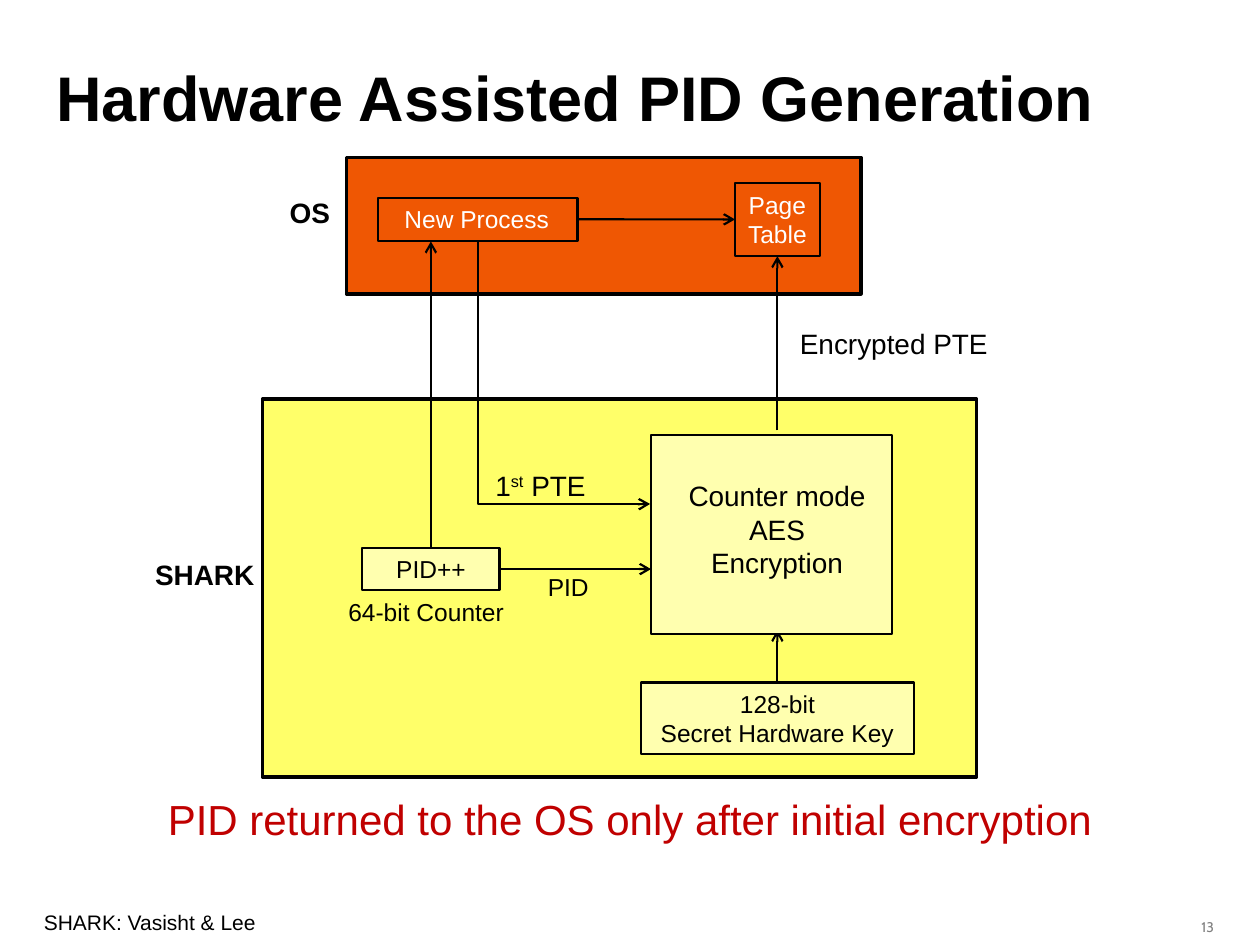
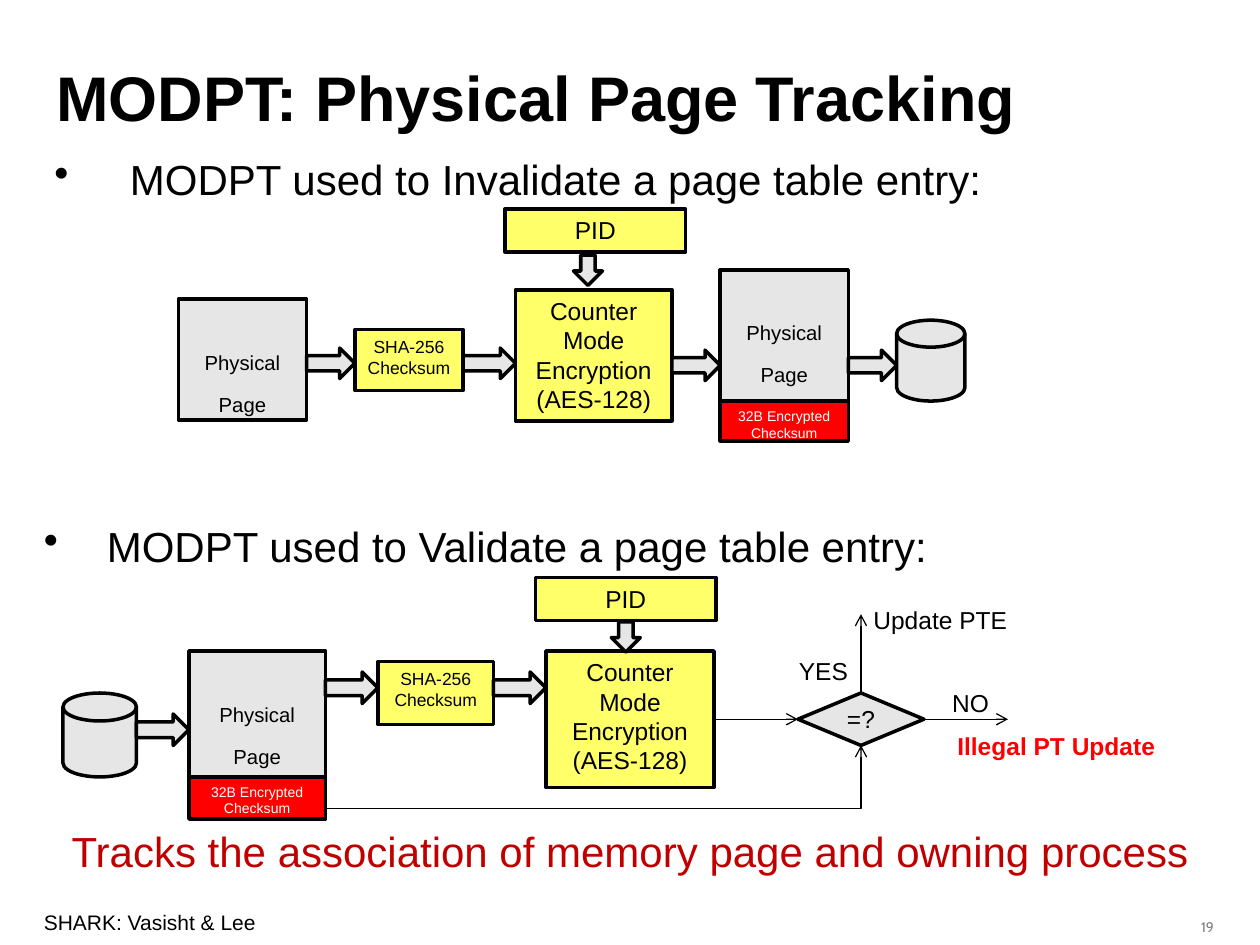
from lxml import etree
from pptx import Presentation
from pptx import util as u
from pptx.dml.color import RGBColor
from pptx.enum import shapes, text
from pptx.oxml import ns

BLACK = RGBColor(0x00, 0x00, 0x00)
WHITE = RGBColor(0xFF, 0xFF, 0xFF)
GRAY = RGBColor(0x80, 0x80, 0x80)
SILVER = RGBColor(0xE6, 0xE6, 0xE6)
ORANGE = RGBColor(0xEF, 0x57, 0x03)
YELLOW = RGBColor(0xFF, 0xFF, 0x69)
CREAM = RGBColor(0xFF, 0xFF, 0xAF)
RED = RGBColor(0xFF, 0x00, 0x00)
DARK_RED = RGBColor(0xC0, 0x00, 0x00)

WIDTH, HEIGHT = u.Inches(10), u.Inches(7.5)
COLUMNS, ROWS = 120, 90
LEFT, CENTER, RIGHT = text.PP_ALIGN.LEFT, text.PP_ALIGN.CENTER, text.PP_ALIGN.RIGHT
TOP, MIDDLE = text.MSO_ANCHOR.TOP, text.MSO_ANCHOR.MIDDLE
SHAPE = shapes.MSO_SHAPE
FOOTER = "SHARK: Vasisht & Lee"

PID_PARTS = [
    ("box", "os", (33, 15, 49, 13), dict(fill=ORANGE, weight=2)),
    ("box", "process", (36, 18.84, 19, 4.1),
     dict(lines=["New Process"], size=14, color=WHITE, align=LEFT, anchor=TOP, indent=0.11)),
    ("box", "shark", (25, 38, 68, 36), dict(fill=YELLOW, weight=2)),
    ("label", (46, 44, 15.7, 4.5), dict(lines=[[("1", 0), ("st", 30), (" PTE", 0)]], size=16)),
    ("label", (32, 56.3, 18, 4), dict(lines=["64-bit Counter"], size=14)),
    ("box", "counter", (34.5, 52.2, 13.08, 4), dict(fill=CREAM, lines=["PID++"], size=14)),
    ("arrow", ("counter", 0), (41.04, 23), 1.25),
    ("box", "table", (70, 17.4, 8.08, 7), dict(fill=ORANGE, lines=["Page Table"], size=14, color=WHITE)),
    ("arrow", (74.04, 41), ("table", 2), 1.25),
    ("box", "key", (61.04, 65, 26, 6.84),
     dict(fill=CREAM, lines=["128-bit", "Secret Hardware Key"], size=14, anchor=TOP)),
    ("arrow", ("key", 0), (74.04, 60), 1.25),
    ("bend", (45.5, 22.94), (61.92, 48), 1.25, True),
    ("label", (51, 53.9, 7, 4), dict(lines=["PID"], size=14)),
    ("arrow", ("counter", 3), (62, 54.2), 1.25),
    ("box", "cipher", (62, 41.4, 23, 19), dict(fill=CREAM)),
    ("label", (64, 45, 20, 10.8),
     dict(lines=["Counter mode", "AES", "Encryption"], size=16, align=CENTER)),
    ("arrow", ("process", 3), ("table", 1), 1.25),
    ("label", (75, 30.5, 21, 4.5), dict(lines=["Encrypted PTE"], size=16)),
    ("label", (12, 52.5, 15, 4.5), dict(lines=["SHARK"], size=16, bold=True, align=CENTER)),
    ("label", (22, 18, 15, 4.5), dict(lines=["OS"], size=16, bold=True, align=CENTER)),
]

STAGES = {
    "disk": dict(preset=SHAPE.FLOWCHART_MAGNETIC_DISK, fill=SILVER),
    "page": dict(fill=SILVER, lines=[[("Physical Page", 30)]], size=20, top=0.37),
    "tag": dict(fill=RED, lines=["32B Encrypted Checksum"], size=8, color=WHITE),
    "hash": dict(fill=YELLOW, lines=["SHA-256 Checksum"], size=10),
    "cipher": dict(fill=YELLOW, lines=["Counter Mode", "Encryption", "(AES-128)"], size=14),
    "pid": dict(fill=YELLOW, lines=["PID"], size=14),
}

INVALIDATE = dict(
    places=[
        ("disk", "disk", (85.4, 30.5, 6.5, 7.7)),
        ("page", "source", (17, 28.5, 12.2, 11.5)),
        ("hash", "hash", (33.8, 31.4, 10.3, 5.8)),
        ("cipher", "cipher", (49.1, 27.6, 14.9, 12.5)),
        ("pid", "pid", (48.1, 19.9, 17.2, 4.1)),
        ("page", "target", (68.6, 25.7, 12.2, 12.5)),
        ("tag", "tag", (68.6, 38.2, 12.2, 3.8)),
    ],
    links=[("source", "hash", 34.6), ("hash", "cipher", 34.6),
           ("cipher", "target", 34.8), ("target", "disk", 34.8)],
    link_height=2.9, drop=(56, 25.75),
)
VALIDATE = dict(
    places=[
        ("page", "source", (18, 62, 13, 12)),
        ("tag", "tag", (18, 74, 13, 4)),
        ("disk", "disk", (6, 66, 7, 8)),
        ("hash", "hash", (36, 63, 11, 6)),
        ("cipher", "cipher", (52, 62, 16, 13)),
        ("pid", "pid", (51, 55, 17.2, 4.1)),
    ],
    links=[("disk", "source", 69.5), ("source", "hash", 65.5), ("hash", "cipher", 65.5)],
    link_height=3, drop=(59.6, 60.66),
)
BULLETS = [
    ((4, 14, 113, 6), "MODPT used to Invalidate a page table entry:", 0.6),
    ((3, 49, 115, 6), "MODPT used to Validate a page table entry:", 0.5),
]
CHECK_PARTS = [
    ("label", (90, 69, 24, 4), dict(lines=["Illegal PT Update"], size=14, color=RED, bold=True)),
    ("box", "match", (76, 66, 12, 5),
     dict(preset=SHAPE.FLOWCHART_DECISION, fill=SILVER, weight=2, lines=["=?"], size=14)),
    ("arrow", ("match", 0), (82, 58.5), 0.75),
    ("arrow", ("cipher", 3), ("match", 1), 0.75),
    ("bend", (31, 77), (82, 71), 0.75, False),
    ("label", (89.5, 64.9, 8, 4), dict(lines=["NO"], size=14)),
    ("arrow", ("match", 3), (96, 68.5), 0.75),
    ("label", (82, 57, 17, 4), dict(lines=["Update PTE"], size=14)),
    ("label", (74.9, 61.9, 8, 4), dict(lines=["YES"], size=14)),
]


def across(columns):
    return round(WIDTH * columns / COLUMNS)


def down(rows):
    return round(HEIGHT * rows / ROWS)


def place(area):
    left, top, width, height = area
    return across(left), down(top), across(width), down(height)


def write(shape, lines, size, color=BLACK, align=LEFT, anchor=TOP, bold=False,
          font="Arial", indent=0, top=0.05, bullet=False):
    frame = shape.text_frame
    frame.word_wrap = True
    frame.vertical_anchor = anchor
    frame.margin_left, frame.margin_right = u.Inches(0.1 + (0 if bullet else indent)), u.Inches(0.1)
    frame.margin_top, frame.margin_bottom = u.Inches(top), u.Inches(0.05)
    for number, line in enumerate(lines):
        para = frame.add_paragraph() if number else frame.paragraphs[0]
        para.alignment = align
        if bullet:
            properties = para._p.get_or_add_pPr()
            properties.set("marL", str(u.Inches(indent)))
            properties.set("indent", str(-u.Inches(indent)))
            etree.SubElement(properties, ns.qn("a:buChar")).set("char", "•")
        for words, raised in ([(line, 0)] if isinstance(line, str) else line):
            span = para.add_run()
            span.text = words
            span.font.name, span.font.size = font, u.Pt(size)
            span.font.bold, span.font.color.rgb = bold, color
            if raised:
                span._r.get_or_add_rPr().set("baseline", str(raised * 1000))


def add_label(page, area, **style):
    write(page.shapes.add_textbox(*place(area)), **style)


def add_box(page, area, preset=SHAPE.RECTANGLE, fill=None, weight=1.25, lines=(), size=14,
            align=CENTER, anchor=MIDDLE, **style):
    box = page.shapes.add_shape(preset, *place(area))
    box.shadow.inherit = False
    if fill is None:
        box.fill.background()
    else:
        box.fill.solid()
        box.fill.fore_color.rgb = fill
    box.line.color.rgb, box.line.width = BLACK, u.Pt(weight)
    write(box, lines, size, align=align, anchor=anchor, **style)
    return box


def add_line(page, kind, start, end, weight):
    line = page.shapes.add_connector(kind, across(start[0]), down(start[1]), across(end[0]), down(end[1]))
    line.line.color.rgb, line.line.width = BLACK, u.Pt(weight)
    etree.SubElement(line.line._get_or_add_ln(), ns.qn("a:tailEnd")).set("type", "arrow")
    etree.SubElement(line._element.spPr, ns.qn("a:effectLst"))
    return line


def add_arrow(page, boxes, start, end, weight):
    joins = [point if isinstance(point[0], str) else None for point in (start, end)]
    spots = [(0, 0) if join else point for join, point in zip(joins, (start, end))]
    line = add_line(page, shapes.MSO_CONNECTOR.STRAIGHT, *spots, weight)
    for join, connect in zip(joins, (line.begin_connect, line.end_connect)):
        if join:
            connect(boxes[join[0]], join[1])


def add_bend(page, start, end, weight, down_first):
    line = add_line(page, shapes.MSO_CONNECTOR.ELBOW, start, end, weight)
    geometry = line._element.spPr.find(ns.qn("a:prstGeom"))
    if not down_first:
        geometry.set("prst", "bentConnector2")
        return
    guides = geometry.find(ns.qn("a:avLst"))
    if guides is None:
        guides = etree.SubElement(geometry, ns.qn("a:avLst"))
    guide = etree.SubElement(guides, ns.qn("a:gd"))
    guide.set("name", "adj1")
    guide.set("fmla", "val 100100")
    width, height = line.width, line.height
    line.left += (width - height) // 2
    line.top += (height - width) // 2
    line.width, line.height = height, width
    frame = line._element.spPr.find(ns.qn("a:xfrm"))
    frame.set("rot", "16200000")
    frame.set("flipH", "1")


def add_parts(page, parts, boxes):
    for kind, *details in parts:
        if kind == "box":
            name, area, style = details
            boxes[name] = add_box(page, area, **style)
        elif kind == "label":
            add_label(page, details[0], **details[1])
        elif kind == "arrow":
            add_arrow(page, boxes, *details)
        else:
            add_bend(page, *details)


def add_flow(page, flow):
    areas = {name: area for stage, name, area in flow["places"]}
    boxes = {name: add_box(page, area, weight=2, anchor=TOP, **STAGES[stage])
             for stage, name, area in flow["places"]}
    height = flow["link_height"]
    for first, second, middle in flow["links"]:
        left = areas[first][0] + areas[first][2]
        add_box(page, (left, middle - height / 2, areas[second][0] - left, height),
                preset=SHAPE.RIGHT_ARROW, fill=SILVER, weight=2)
    column, row = flow["drop"]
    drop = add_box(page, (column - 1.44, row - 1.38, 2.88, 2.76),
                   preset=SHAPE.RIGHT_ARROW, fill=SILVER, weight=2)
    drop.rotation = 90
    return boxes


def add_page(deck, title, number, message, message_row):
    page = deck.slides.add_slide(deck.slide_layouts[6])
    add_label(page, (3, 86, 35, 3.6), lines=[FOOTER], size=12)
    add_label(page, (4.2, 4.2, 108, 10), lines=[title], size=36, bold=True, anchor=MIDDLE)
    add_label(page, (108.8, 86.9, 8, 2), lines=[number], size=8, color=GRAY, align=RIGHT, font="Cabin")
    add_label(page, (2, message_row, 116, 6), lines=[message], size=24, color=DARK_RED, align=CENTER)
    return page


def main():
    deck = Presentation()
    deck.slide_width, deck.slide_height = WIDTH, HEIGHT

    page = add_page(deck, "Hardware Assisted PID Generation", "13",
                    "PID returned to the OS only after initial encryption", 75)
    add_parts(page, PID_PARTS, {})

    page = add_page(deck, "MODPT: Physical Page Tracking", "19",
                    "Tracks the association of memory page and owning process", 78)
    for area, words, indent in BULLETS:
        add_label(page, area, lines=[words], size=24, indent=indent, bullet=True)
    add_flow(page, INVALIDATE)
    add_parts(page, CHECK_PARTS, add_flow(page, VALIDATE))

    deck.save("out.pptx")


if __name__ == "__main__":
    main()
